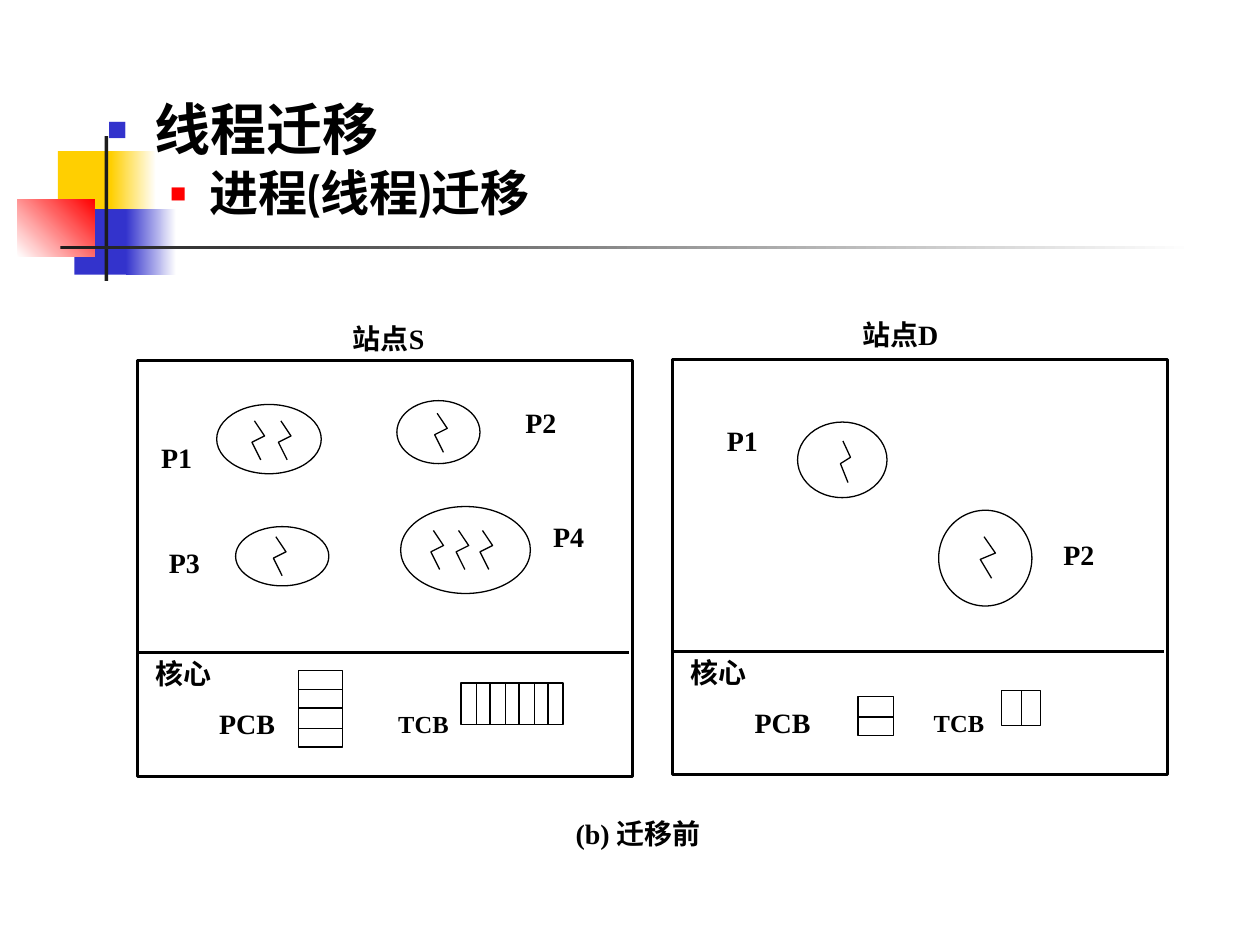
from dataclasses import dataclass

from lxml import etree
from pptx import Presentation
from pptx import util as u
from pptx.dml.color import RGBColor
from pptx.enum import shapes, text
from pptx.oxml import ns

PX = 9144


@dataclass(frozen=True)
class Theme:
    ink: str = "000000"
    bar: str = "1C1C1C"
    white: str = "FFFFFF"
    yellow: str = "FFCF01"
    blue: str = "3333CC"
    red: str = "FF0000"
    latin: str = "Times New Roman"
    heading: str = "Cabin"
    asian: str = "Noto Sans CJK SC"
    title: int = 32
    subtitle: int = 28
    label: int = 16
    small: int = 14
    thin: float = 0.75
    thick: float = 1.75


THEME = Theme()


def px(*lengths):
    return [u.Emu(length * PX) for length in lengths]


def rgb(color):
    return RGBColor.from_string(color)


def set_font(para, size, latin=THEME.latin):
    font = para.font
    font.size = u.Pt(size)
    font.bold = True
    font.color.rgb = rgb(THEME.ink)
    font.name = latin
    defaults = para._p.pPr.find(ns.qn("a:defRPr"))
    etree.SubElement(defaults, ns.qn("a:ea"), typeface=THEME.asian)


def set_bullet(para, color, percent, margin, indent):
    props = para._p.get_or_add_pPr()
    props.set("marL", str(margin * PX))
    props.set("indent", str(-indent * PX))
    tint = etree.SubElement(props, ns.qn("a:buClr"))
    etree.SubElement(tint, ns.qn("a:srgbClr"), val=color)
    etree.SubElement(props, ns.qn("a:buSzPct"), val=str(percent * 1000))
    etree.SubElement(props, ns.qn("a:buChar"), char="■")


def add_text(page, box, words, size=THEME.label, centred=False):
    frame = page.shapes.add_textbox(*px(*box)).text_frame
    frame.word_wrap = True
    across, down = px(10, 5) if centred else px(2, 1)
    frame.margin_left = frame.margin_right = across
    frame.margin_top = frame.margin_bottom = down
    para = frame.paragraphs[0]
    para.text = words
    para.alignment = text.PP_ALIGN.CENTER if centred else text.PP_ALIGN.LEFT
    set_font(para, size)


def outline(shape, width=THEME.thin):
    shape.shadow.inherit = False
    shape.fill.background()
    shape.line.color.rgb = rgb(THEME.ink)
    shape.line.width = u.Pt(width)


def add_outlined(page, kind, box, width=THEME.thin):
    outline(page.shapes.add_shape(kind, *px(*box)), width)


def add_line(page, start, end, width=THEME.thin):
    line = page.shapes.add_connector(
        shapes.MSO_CONNECTOR.STRAIGHT, *px(*start, *end))
    line.line.color.rgb = rgb(THEME.ink)
    line.line.width = u.Pt(width)
    etree.SubElement(line._element.spPr, ns.qn("a:effectLst"))


def add_bolt(page, left, top, width, height):
    points = [(left + round(x * width), top + round(y * height))
              for x, y in ((0.25, 0), (1, 0.38), (0, 0.55), (0.72, 1))]
    builder = page.shapes.build_freeform(*points[0], scale=PX)
    builder.add_line_segments(points[1:], close=False)
    outline(builder.convert_to_shape())


def add_cells(page, box, count, stacked):
    left, top, width, height = box
    add_outlined(page, shapes.MSO_SHAPE.RECTANGLE, box)
    for index in range(1, count):
        if stacked:
            y = top + round(index * height / count)
            add_line(page, (left, y), (left + width, y))
        else:
            x = left + round(index * width / count)
            add_line(page, (x, top), (x, top + height))


def add_decoration(page, left, top):
    blocks = [
        ((32, 12, 48, 52), THEME.yellow, None, 0),
        ((74, 12, 36, 52), THEME.yellow, THEME.white, 0),
        ((45, 58, 46, 52), THEME.blue, None, 0),
        ((86, 58, 40, 52), THEME.blue, THEME.white, 0),
        ((0, 50, 61, 46), THEME.white, THEME.red, 45),
        ((69, 0, 3, 115), THEME.bar, None, 0),
        ((34, 87, 900, 3), THEME.bar, THEME.white, 0),
    ]
    for (x, y, width, height), color, fade, angle in blocks:
        block = page.shapes.add_shape(
            shapes.MSO_SHAPE.RECTANGLE, *px(left + x, top + y, width, height))
        block.shadow.inherit = False
        block.line.fill.background()
        if fade:
            block.fill.gradient()
            block.fill.gradient_angle = angle
            for stop, tone in zip(block.fill.gradient_stops, (color, fade)):
                stop.color.rgb = rgb(tone)
        else:
            block.fill.solid()
            block.fill.fore_color.rgb = rgb(color)


def add_heading(page, box):
    title = page.shapes.title.element
    title.getparent().remove(title)
    body = page.placeholders[1]
    body.element.getparent().append(body.element)
    body.left, body.top, body.width, body.height = px(*box)
    frame = body.text_frame
    frame.auto_size = text.MSO_AUTO_SIZE.NONE
    frame.text = "线程迁移\n进程(线程)迁移"
    styles = [(THEME.title, THEME.blue, 60, 38, 38, 0),
              (THEME.subtitle, THEME.red, 55, 81, 31, 4)]
    for level, (para, style) in enumerate(zip(frame.paragraphs, styles)):
        size, color, percent, margin, indent, before = style
        para.level = level
        set_bullet(para, color, percent, margin, indent)
        para.line_spacing = 0.9
        para.space_before = u.Pt(before)
        set_font(para, size, THEME.heading)


def add_site(page, box, caption, caption_at, processes, pcb, tcb):
    left, top, width, height = box

    def place(x, y, *size):
        return (left + x, top + y, *size)

    add_text(page, place(*caption_at, 93, 33), caption, centred=True)
    add_outlined(page, shapes.MSO_SHAPE.RECTANGLE, box, THEME.thick)
    add_line(page, place(0, 232), place(width - 3, 232), THEME.thick)
    add_text(page, place(-3, 230, 79, 45), "核心", centred=True)
    add_text(page, place(63, 274, 56, 31), "PCB")
    add_text(page, place(205, 276, 49, 31), "TCB", THEME.small)
    for name, label_at, oval, bolts, bolt_size in processes:
        add_outlined(page, shapes.MSO_SHAPE.OVAL, place(*oval))
        for bolt_at in bolts:
            add_bolt(page, *place(*bolt_at, *bolt_size))
        add_text(page, place(*label_at, 53, 28), name)
    add_cells(page, place(*pcb[0]), pcb[1], True)
    add_cells(page, place(*tcb[0]), tcb[1], False)


def main():
    deck = Presentation()
    deck.slide_width, deck.slide_height = px(1000, 750)
    page = deck.slides.add_slide(deck.slide_layouts[1])
    add_decoration(page, 14, 108)
    add_heading(page, (75, 76, 850, 591))
    add_site(
        page, (109, 286, 393, 330), "站点S", (153, -36),
        [("P1", (17, 63), (63, 35, 83, 55), [(91, 48), (112, 48)], (10, 31)),
         ("P2", (306, 35), (206, 32, 66, 50), [(236, 42)], (10, 31)),
         ("P3", (23, 146), (78, 132, 74, 47), [(108, 140)], (10, 31)),
         ("P4", (328, 125), (209, 116, 103, 69),
          [(233, 135), (253, 135), (272, 135)], (10, 31))],
        ((128, 246, 35, 61), 4), ((257, 256, 81, 33), 7))
    add_site(
        page, (534, 285, 393, 330), "站点D", (134, -38),
        [("P1", (41, 50), (99, 50, 71, 60), [(133, 65)], (8, 33)),
         ("P2", (308, 141), (211, 120, 74, 76), [(244, 141)], (12, 33))],
        ((147, 268, 28, 31), 2), ((261, 263, 31, 28), 2))
    add_text(page, (430, 643, 153, 30), "(b) 迁移前", centred=True)
    deck.save("out.pptx")


if __name__ == "__main__":
    main()
